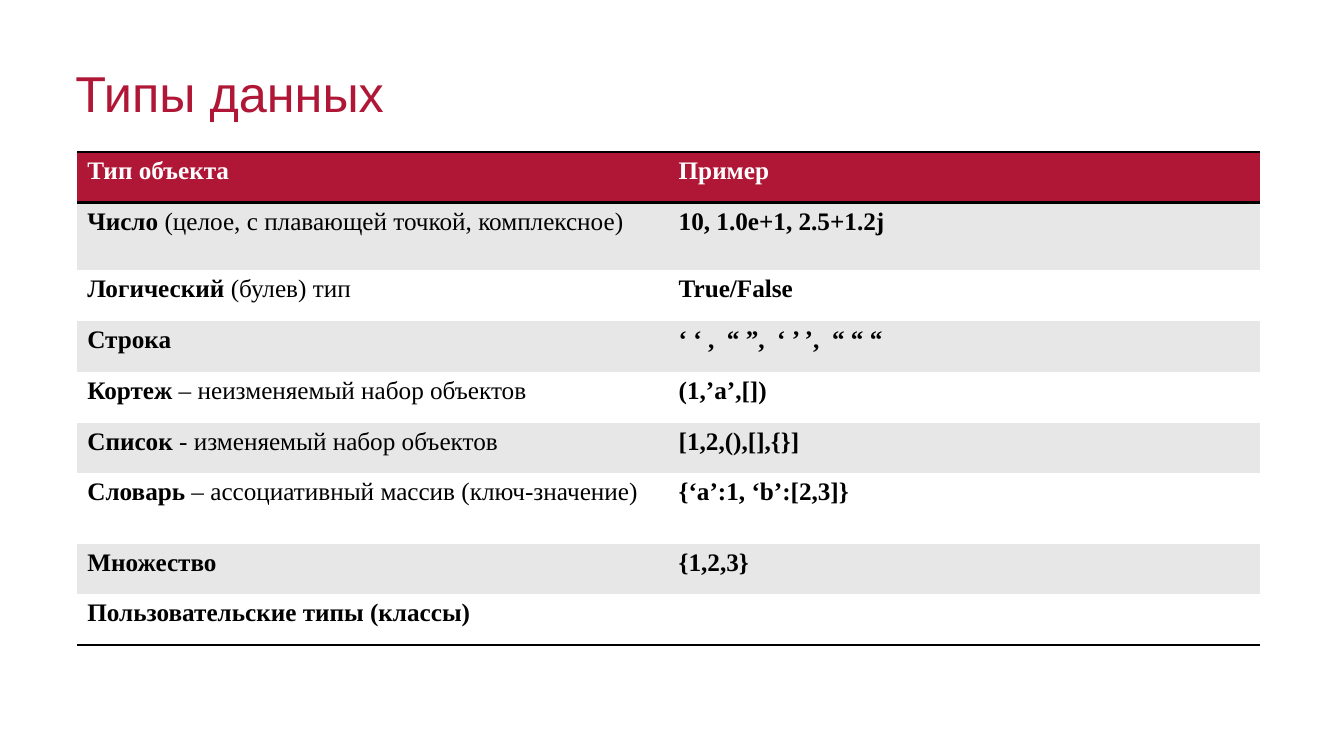
import pptx
import pptx.dml.color
import pptx.oxml
import pptx.oxml.ns
import pptx.util
from pptx.util import Pt

CRIMSON = pptx.dml.color.RGBColor(0xB0, 0x17, 0x36)
GREY = pptx.dml.color.RGBColor(0xE7, 0xE7, 0xE7)
WHITE = pptx.dml.color.RGBColor(0xFF, 0xFF, 0xFF)
BLACK = pptx.dml.color.RGBColor(0, 0, 0)

PLAIN_STYLE = "{2D5ABB26-0587-4C30-8999-92F81FD0307C}"
ROW_HEIGHT = 36.3
TALL_ROWS = {1: 48.3, 6: 50.2}
ROWS = [
    ("Тип объекта", "", "Пример"),
    ("Число", " (целое, с плавающей точкой, комплексное)", "10, 1.0e+1, 2.5+1.2j"),
    ("Логический", " (булев) тип", "True/False"),
    ("Строка", "", "‘ ‘ ,  “ ”,  ‘ ’ ’,  “ “ “"),
    ("Кортеж", " – неизменяемый набор объектов", "(1,’a’,[])"),
    ("Список", " - изменяемый набор объектов", "[1,2,(),[],{}]"),
    ("Словарь", " – ассоциативный массив (ключ-значение)", "{‘a’:1, ‘b’:[2,3]}"),
    ("Множество", "", "{1,2,3}"),
    ("Пользовательские типы (классы)", "", ""),
]


def add_title(s, text):
    tf = s.shapes.add_textbox(Pt(46.8), Pt(41), Pt(707), Pt(50.4)).text_frame
    tf.word_wrap = True
    p = tf.paragraphs[0]
    p.text = text
    p.font.name = "Arial"
    p.font.size = Pt(36)
    p.font.color.rgb = CRIMSON


def add_border(cell, side):
    cell._tc.get_or_add_tcPr().append(pptx.oxml.parse_xml(
        f'<a:ln{side} {pptx.oxml.ns.nsdecls("a")} w="{Pt(2)}"><a:solidFill>'
        f'<a:srgbClr val="{BLACK}"/></a:solidFill></a:ln{side}>'))


def fill_cell(cell, bold_text, plain_text, fill, color, sides):
    for side in sides:
        add_border(cell, side)
    cell.fill.solid()
    cell.fill.fore_color.rgb = fill
    p = cell.text_frame.paragraphs[0]
    p.font.name = "Times New Roman"
    p.font.size = Pt(18)
    p.font.color.rgb = color
    for text, bold in ((bold_text, True), (plain_text, False)):
        if text:
            r = p.add_run()
            r.text = text
            r.font.bold = bold


def add_types_table(s):
    heights = [TALL_ROWS.get(i, ROW_HEIGHT) for i in range(len(ROWS))]
    table = s.shapes.add_table(len(ROWS), 2, Pt(55.2), Pt(108.4),
                               Pt(844.8), Pt(sum(heights))).table
    table.horz_banding = False
    table._tbl.tblPr.find(pptx.oxml.ns.qn("a:tableStyleId")).text = PLAIN_STYLE
    for i, (name, detail, example) in enumerate(ROWS):
        table.rows[i].height = Pt(heights[i])
        fill = CRIMSON if i == 0 else GREY if i % 2 else WHITE
        color = WHITE if i == 0 else BLACK
        sides = "TB" if i == 0 else "B" if i == len(ROWS) - 1 else ""
        fill_cell(table.cell(i, 0), name, detail, fill, color, sides)
        fill_cell(table.cell(i, 1), example, "", fill, color, sides)


def main():
    prs = pptx.Presentation()
    prs.slide_width = Pt(960)
    prs.slide_height = Pt(540)
    s = prs.slides.add_slide(prs.slide_layouts[6])
    add_title(s, "Типы данных")
    add_types_table(s)
    prs.save("out.pptx")


if __name__ == "__main__":
    main()
